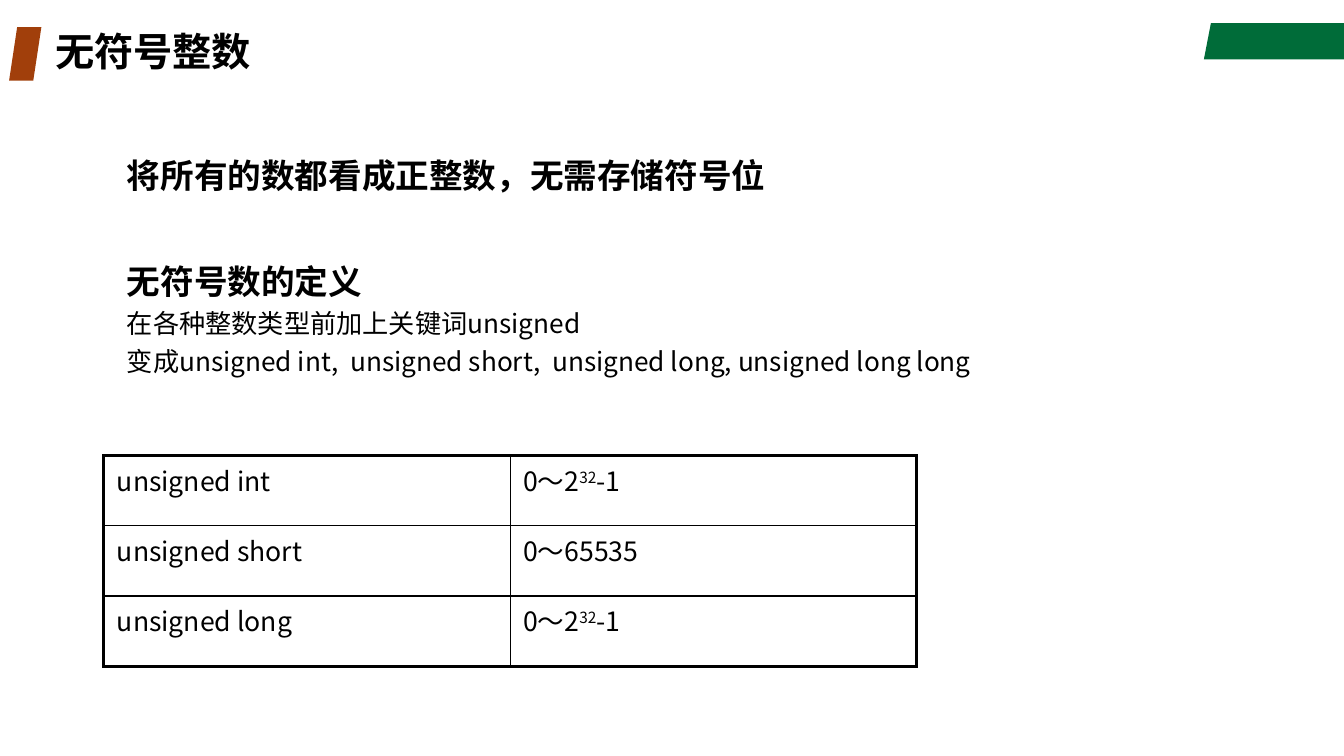
from lxml.etree import SubElement
from pptx import Presentation
from pptx.dml.color import RGBColor
from pptx.enum.shapes import MSO_SHAPE
from pptx.enum.text import MSO_ANCHOR
from pptx.oxml.ns import qn
from pptx.util import Inches, Pt

FONT = "Noto Sans CJK SC"
COLORS = {"ink": "000000", "green": "006C39", "rust": "A13F0B"}
SUPERSCRIPT = 30000
BODY = [
    ("将所有的数都看成正整数，无需存储符号位", 24, True, 8),
    ("无符号数的定义", 24, True, 48.7),
    ("在各种整数类型前加上关键词unsigned", 18.7, False, 6.4),
    ("变成unsigned int,  unsigned short,  unsigned long, unsigned long long", 18.7, False, 6.4),
]
RANGES = [
    ("unsigned int", "0～2^32^-1"),
    ("unsigned short", "0～65535"),
    ("unsigned long", "0～2^32^-1"),
]


def write(paragraph, text, size=19, bold=False, color="ink", before=0, spacing=1.0):
    """Fill a paragraph with text; parts between carets are superscript."""
    paragraph.space_before = Pt(before)
    paragraph.line_spacing = spacing
    for position, part in enumerate(text.split("^")):
        run = paragraph.add_run()
        run.text = part
        run.font.size, run.font.bold, run.font.name = Pt(size), bold, FONT
        run.font.color.rgb = RGBColor.from_string(COLORS[color])
        properties = run.font._element
        SubElement(properties, qn("a:ea")).set("typeface", FONT)
        if position % 2:
            properties.set("baseline", str(SUPERSCRIPT))


def paint(shape, color):
    """Give a shape a flat fill without line or shadow."""
    shape.shadow.inherit = False
    shape.fill.solid()
    shape.fill.fore_color.rgb = RGBColor.from_string(COLORS[color])
    shape.line.fill.background()


def add_corner_band(slide, left, top, width, height, slant=0.07):
    """Draw the band with a slanted left side."""
    outline = slide.shapes.build_freeform(
        Inches(left + slant), Inches(top), scale=1.0)
    outline.add_line_segments([
        (Inches(left + width), Inches(top)),
        (Inches(left + width), Inches(top + height)),
        (Inches(left), Inches(top + height)),
    ], close=True)
    paint(outline.convert_to_shape(), "green")


def add_heading(slide, left, top, width, height):
    """Place the slanted marker and the title beside it."""
    marker = slide.shapes.add_shape(
        MSO_SHAPE.PARALLELOGRAM, Inches(left), Inches(top), Inches(0.32), Inches(height))
    marker.adjustments[0] = 0.25
    paint(marker, "rust")
    title = slide.shapes.add_textbox(
        Inches(left + 0.36), Inches(top), Inches(width - 0.36), Inches(height)).text_frame
    title.word_wrap = True
    title.vertical_anchor = MSO_ANCHOR.MIDDLE
    write(title.paragraphs[0], "无符号整数", size=28, bold=True, spacing=0.9)


def add_body(slide, left, top, width, height):
    """Place the explanation paragraphs."""
    body = slide.shapes.add_textbox(
        Inches(left), Inches(top), Inches(width), Inches(height)).text_frame
    body.word_wrap = True
    for index, (text, size, bold, before) in enumerate(BODY):
        paragraph = body.add_paragraph() if index else body.paragraphs[0]
        write(paragraph, text, size=size, bold=bold, before=before, spacing=0.92)


def set_borders(cell, **widths):
    """Draw cell borders with the given widths in points and no fill."""
    properties = cell._tc.get_or_add_tcPr()
    for side, width in widths.items():
        line = SubElement(properties, qn(f"a:ln{side}"), w=str(Pt(width)))
        SubElement(SubElement(line, qn("a:solidFill")), qn("a:srgbClr"), val=COLORS["ink"])
    cell.fill.background()


def add_range_table(slide, left, top, width, height, outer=2.25, inner=1):
    """Place the table of value ranges with a heavy outer frame."""
    last_row, last_column = len(RANGES) - 1, len(RANGES[0]) - 1
    table = slide.shapes.add_table(
        len(RANGES), len(RANGES[0]),
        Inches(left), Inches(top), Inches(width), Inches(height)).table
    table.first_row = table.horz_banding = False
    for r, row in enumerate(RANGES):
        for c, text in enumerate(row):
            cell = table.cell(r, c)
            cell.margin_left = cell.margin_right = Inches(0.13)
            cell.margin_top = cell.margin_bottom = Inches(0.05)
            write(cell.text_frame.paragraphs[0], text)
            set_borders(
                cell,
                L=inner if c else outer,
                R=outer if c == last_column else inner,
                T=inner if r else outer,
                B=outer if r == last_row else inner)


def main():
    """Build the slide and save it."""
    deck = Presentation()
    deck.slide_width, deck.slide_height = Inches(13.33), Inches(7.5)
    slide = deck.slides.add_slide(deck.slide_layouts[6])
    add_corner_band(slide, 11.94, 0.23, 1.39, 0.36)
    add_heading(slide, 0.09, 0.27, 9.81, 0.53)
    add_body(slide, 1.16, 1.53, 12.17, 3.46)
    add_range_table(slide, 1.03, 4.52, 8.06, 2.09)
    deck.save("out.pptx")


if __name__ == "__main__":
    main()
